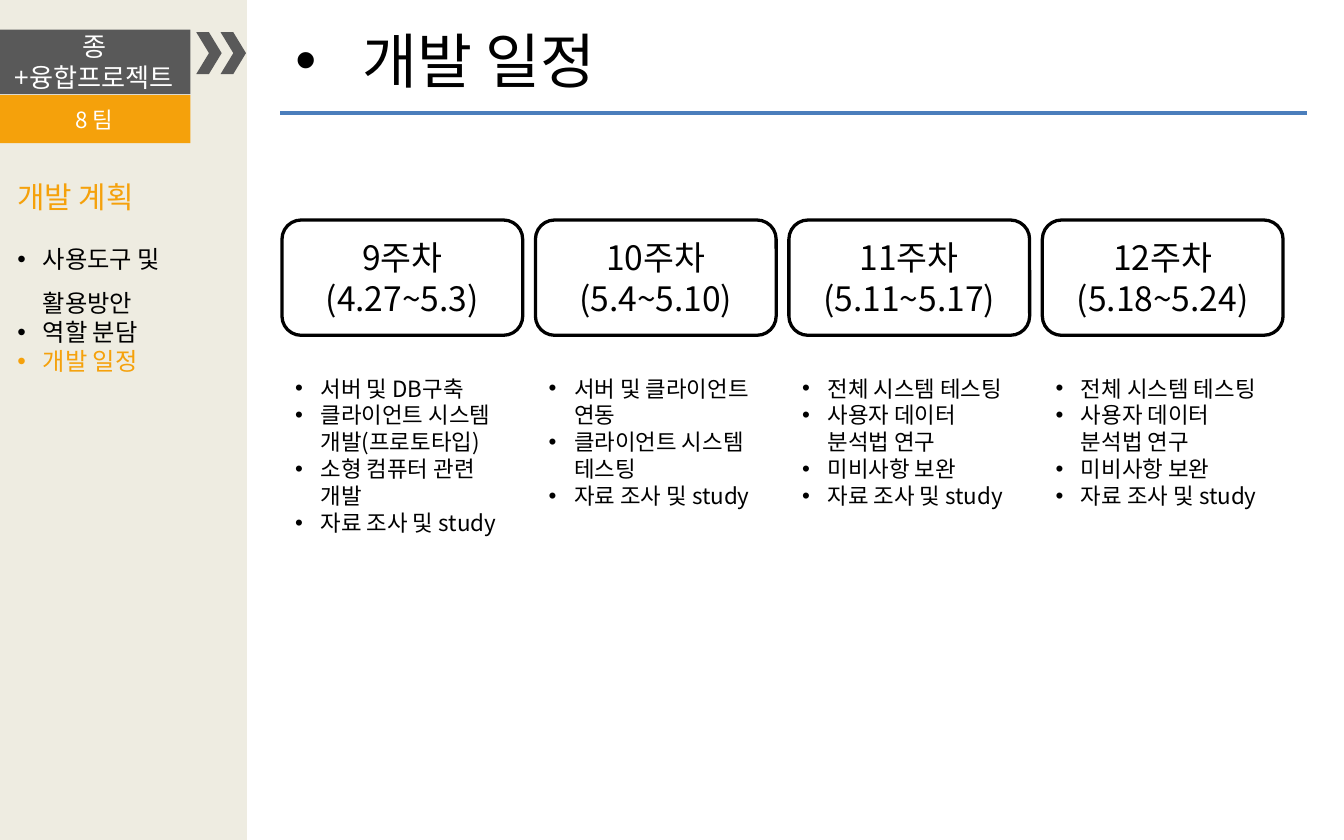
import lxml.etree
import pptx
import pptx.dml.color
import pptx.enum.shapes
import pptx.enum.text
import pptx.oxml.ns
import pptx.util
from pptx.util import Cm

FONT = "Noto Sans CJK KR"
BLACK = "000000"
WHITE = "FFFFFF"
GRAY = "595959"
ORANGE = "F5A10B"
SHAPES = pptx.enum.shapes.MSO_SHAPE
ALIGN = pptx.enum.text.PP_ALIGN
ANCHOR = pptx.enum.text.MSO_ANCHOR

FINAL_TASKS = ["전체 시스템 테스팅", "사용자 데이터 분석법 연구", "미비사항 보완", "자료 조사 및 study"]
WEEKS = [
    ("9주차", "(4.27~5.3)",
     ["서버 및 DB구축", "클라이언트 시스템 개발(프로토타입)", "소형 컴퓨터 관련 개발", "자료 조사 및 study"]),
    ("10주차", "(5.4~5.10)",
     ["서버 및 클라이언트 연동", "클라이언트 시스템 테스팅", "자료 조사 및 study"]),
    ("11주차", "(5.11~5.17)", FINAL_TASKS),
    ("12주차", "(5.18~5.24)", FINAL_TASKS),
]


def color(value):
    return pptx.dml.color.RGBColor.from_string(value)


def add_child(parent, tag, **attributes):
    child = lxml.etree.SubElement(parent, pptx.oxml.ns.qn(tag))
    for name, value in attributes.items():
        child.set(name, str(value))
    return child


def format_paragraph(paragraph, text, size, text_color, align=ALIGN.LEFT, indent=None):
    paragraph.text = text
    paragraph.alignment = align
    if indent is not None:
        properties = paragraph._p.get_or_add_pPr()
        properties.set("marL", str(int(indent)))
        properties.set("indent", str(-int(indent)))
        add_child(properties, "a:buFont", typeface="Arial")
        add_child(properties, "a:buChar", char="•")
    font = paragraph.font
    font.size = pptx.util.Pt(size)
    font.color.rgb = color(text_color)
    font.name = FONT
    add_child(font._element, "a:ea", typeface=FONT)


def write_lines(frame, lines, size, text_color, align=ALIGN.LEFT, indent=None):
    frame.word_wrap = True
    for index, line in enumerate(lines):
        paragraph = frame.add_paragraph() if index else frame.paragraphs[0]
        format_paragraph(paragraph, line, size, text_color, align, indent)


def add_block(slide, kind, left, top, width, height, fill=None, outline=None):
    shape = slide.shapes.add_shape(kind, Cm(left), Cm(top), Cm(width), Cm(height))
    shape.shadow.inherit = False
    if fill:
        shape.fill.solid()
        shape.fill.fore_color.rgb = color(fill)
    else:
        shape.fill.background()
    if outline:
        shape.line.color.rgb = color(outline)
        shape.line.width = pptx.util.Pt(1.75)
    else:
        shape.line.fill.background()
    return shape


def add_label(shape, lines, size, text_color):
    shape.text_frame.vertical_anchor = ANCHOR.MIDDLE
    write_lines(shape.text_frame, lines, size, text_color, ALIGN.CENTER)


def add_text(slide, left, top, width, height):
    return slide.shapes.add_textbox(Cm(left), Cm(top), Cm(width), Cm(height)).text_frame


def add_title(slide):
    title = slide.shapes.title
    title.left, title.top, title.width, title.height = Cm(5.33), Cm(0.33), Cm(18.97), Cm(1.63)
    title.text_frame.vertical_anchor = ANCHOR.TOP
    write_lines(title.text_frame, ["개발 일정"], 32, BLACK, indent=Cm(1.27))
    rule = slide.shapes.add_connector(
        pptx.enum.shapes.MSO_CONNECTOR.STRAIGHT, Cm(5.3), Cm(2.13), Cm(24.7), Cm(2.13))
    rule.line.color.rgb = color("4B7EBC")
    rule.line.width = pptx.util.Pt(2.25)
    add_child(rule._element.spPr, "a:effectLst")


def add_sidebar(slide):
    add_block(slide, SHAPES.RECTANGLE, 0, 0, 4.67, 15.88, "EEECE1")
    for index in range(2):
        add_block(slide, SHAPES.CHEVRON, 3.71 + 0.46 * index, 0.61, 0.48, 0.79, GRAY)
    project = add_block(slide, SHAPES.RECTANGLE, -0.03, 0.56, 3.63, 1.22, GRAY)
    add_label(project, ["종+융합프로젝트"], 14, WHITE)
    team = add_block(slide, SHAPES.RECTANGLE, -0.03, 1.8, 3.63, 0.91, ORANGE)
    add_label(team, ["8 팀"], 12, WHITE)

    frame = add_text(slide, 0.08, 3.25, 4.6, 3.18)
    write_lines(frame, ["개발 계획"], 16, ORANGE)
    frame.paragraphs[0].space_after = pptx.util.Pt(8.4)
    for text, text_color in [("사용도구 및 활용방안", BLACK), ("역할 분담", BLACK), ("개발 일정", ORANGE)]:
        format_paragraph(frame.add_paragraph(), text, 13, text_color, indent=Cm(0.48))
    frame.paragraphs[1].line_spacing = 1.5


def add_week(slide, index, week, dates, tasks):
    left = 5.33 + 4.79 * index
    box = add_block(slide, SHAPES.ROUNDED_RECTANGLE, left, 4.16, 4.55, 2.18, outline=BLACK)
    add_label(box, [week, dates], 18, BLACK)
    frame = add_text(slide, left, 6.96, 4.55, 3.5)
    write_lines(frame, tasks, 12, BLACK, indent=Cm(0.48))


def main():
    presentation = pptx.Presentation()
    presentation.slide_width = Cm(25.4)
    presentation.slide_height = Cm(15.88)
    slide = presentation.slides.add_slide(presentation.slide_layouts[5])
    add_sidebar(slide)
    add_title(slide)
    for index, (week, dates, tasks) in enumerate(WEEKS):
        add_week(slide, index, week, dates, tasks)
    presentation.save("out.pptx")


if __name__ == "__main__":
    main()
